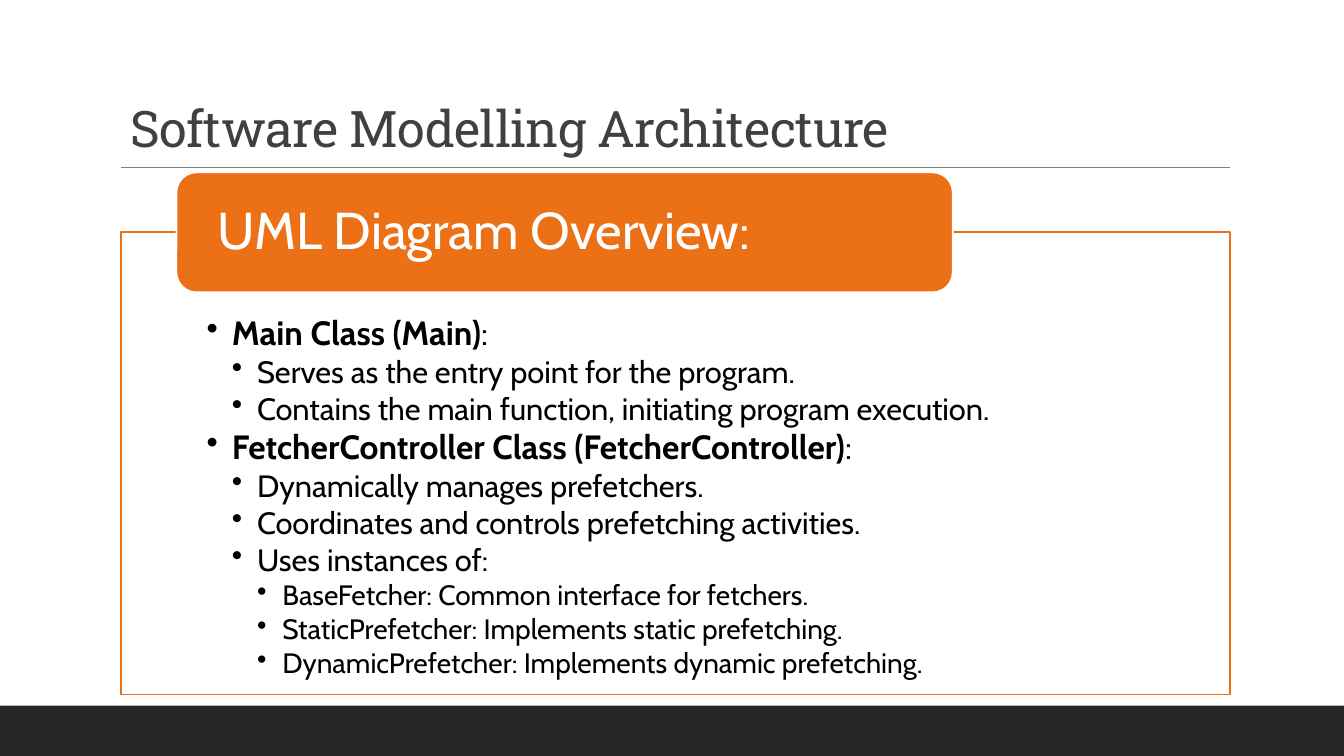
import pptx
import pptx.util
import pptx.dml.color
import pptx.enum.shapes
import pptx.enum.text
import pptx.oxml.ns
from lxml import etree

Inches, Pt = pptx.util.Inches, pptx.util.Pt
RGBColor = pptx.dml.color.RGBColor
qn = pptx.oxml.ns.qn
SHAPE = pptx.enum.shapes.MSO_SHAPE
ANCHOR = pptx.enum.text.MSO_ANCHOR
LEFT = pptx.enum.text.PP_ALIGN.LEFT

TITLE = "Software Modelling Architecture"
HEADING = "UML Diagram Overview:"
BULLETS = [
    (1, "Main Class (Main)", ":"),
    (2, "Serves as the entry point for the program.", ""),
    (2, "Contains the main function, initiating program execution.", ""),
    (1, "FetcherController Class (FetcherController)", ":"),
    (2, "Dynamically manages prefetchers.", ""),
    (2, "Coordinates and controls prefetching activities.", ""),
    (2, "Uses instances of:", ""),
    (3, "BaseFetcher: Common interface for fetchers.", ""),
    (3, "StaticPrefetcher: Implements static prefetching.", ""),
    (3, "DynamicPrefetcher: Implements dynamic prefetching.", ""),
]
LEVEL_SIZES = {1: 24, 2: 22, 3: 20}
INDENT = 0.25
LEFT_EDGE, CONTENT_WIDTH, RULE_Y = 1.2, 11, 1.66

ORANGE = RGBColor(0xEC, 0x70, 0x16)
WHITE = RGBColor(0xFF, 0xFF, 0xFF)
BLACK = RGBColor(0, 0, 0)
DARK = RGBColor(0x26, 0x26, 0x26)
TITLE_GREY = RGBColor(0x40, 0x40, 0x40)
RULE_GREY = RGBColor(0x7F, 0x7F, 0x7F)


def add_box(slide, kind, place, fill, line=None):
    box = slide.shapes.add_shape(kind, *map(Inches, place))
    box.shadow.inherit = False
    box.fill.solid()
    box.fill.fore_color.rgb = fill
    if line is None:
        box.line.fill.background()
    else:
        box.line.color.rgb = line
        box.line.width = Pt(1.25)
    return box


def set_frame(frame, anchor, left, top, right, bottom):
    frame.word_wrap = True
    frame.vertical_anchor = anchor
    frame.margin_left, frame.margin_top = Inches(left), Inches(top)
    frame.margin_right, frame.margin_bottom = Inches(right), Inches(bottom)


def style(paragraph, font, size, color):
    paragraph.alignment = LEFT
    paragraph.line_spacing = 0.9
    paragraph.font.name = font
    paragraph.font.size = Pt(size)
    paragraph.font.color.rgb = color


def add_bullet(paragraph, level):
    properties = paragraph._p.get_or_add_pPr()
    properties.set("marL", str(Inches(INDENT * level)))
    properties.set("indent", str(-Inches(INDENT)))
    bullet = etree.Element(qn("a:buChar"), char="•")
    properties.find(qn("a:defRPr")).addprevious(bullet)


def main():
    deck = pptx.Presentation()
    deck.slide_width, deck.slide_height = Inches(13.33), Inches(7.5)
    slide = deck.slides.add_slide(deck.slide_layouts[6])

    add_box(slide, SHAPE.RECTANGLE, (0, 7, 13.33, 0.5), DARK)

    title = slide.shapes.add_textbox(
        *map(Inches, (LEFT_EDGE, 0.95, CONTENT_WIDTH, 0.71))).text_frame
    set_frame(title, ANCHOR.MIDDLE, 0.1, 0.05, 0.1, 0.05)
    title.text = TITLE
    style(title.paragraphs[0], "Roboto Slab", 36, TITLE_GREY)
    title.paragraphs[0].runs[0].font._element.set("spc", "-50")

    rule = slide.shapes.add_connector(
        pptx.enum.shapes.MSO_CONNECTOR.STRAIGHT,
        *map(Inches, (LEFT_EDGE, RULE_Y, LEFT_EDGE + CONTENT_WIDTH, RULE_Y)))
    rule.line.color.rgb = RULE_GREY
    rule.line.width = Pt(0.75)
    etree.SubElement(rule._element.spPr, qn("a:effectLst"))

    panel = add_box(slide, SHAPE.RECTANGLE,
                    (LEFT_EDGE, 2.3, CONTENT_WIDTH, 4.59), WHITE, ORANGE)
    color = panel.fill._xPr.find(qn("a:solidFill"))[0]
    etree.SubElement(color, qn("a:alpha"), val="90000")
    overview = panel.text_frame
    set_frame(overview, ANCHOR.TOP, 0.85, 0.84, 0.85, 0.17)
    for index, (level, text, ending) in enumerate(BULLETS):
        paragraph = overview.paragraphs[0] if index == 0 else overview.add_paragraph()
        paragraph.level = level
        style(paragraph, "Cabin", LEVEL_SIZES[level], BLACK)
        paragraph.space_before = Pt(0)
        paragraph.space_after = Pt(2.7)
        add_bullet(paragraph, level)
        run = paragraph.add_run()
        run.text = text
        if ending:
            run.font.bold = True
            paragraph.add_run().text = ending

    heading = add_box(slide, SHAPE.ROUNDED_RECTANGLE,
                      (1.75, 1.71, 7.7, 1.19), ORANGE, WHITE)
    set_frame(heading.text_frame, ANCHOR.MIDDLE, 0.35, 0, 0.35, 0)
    heading.text_frame.text = HEADING
    style(heading.text_frame.paragraphs[0], "Cabin", 37, WHITE)

    deck.save("out.pptx")


if __name__ == "__main__":
    main()
